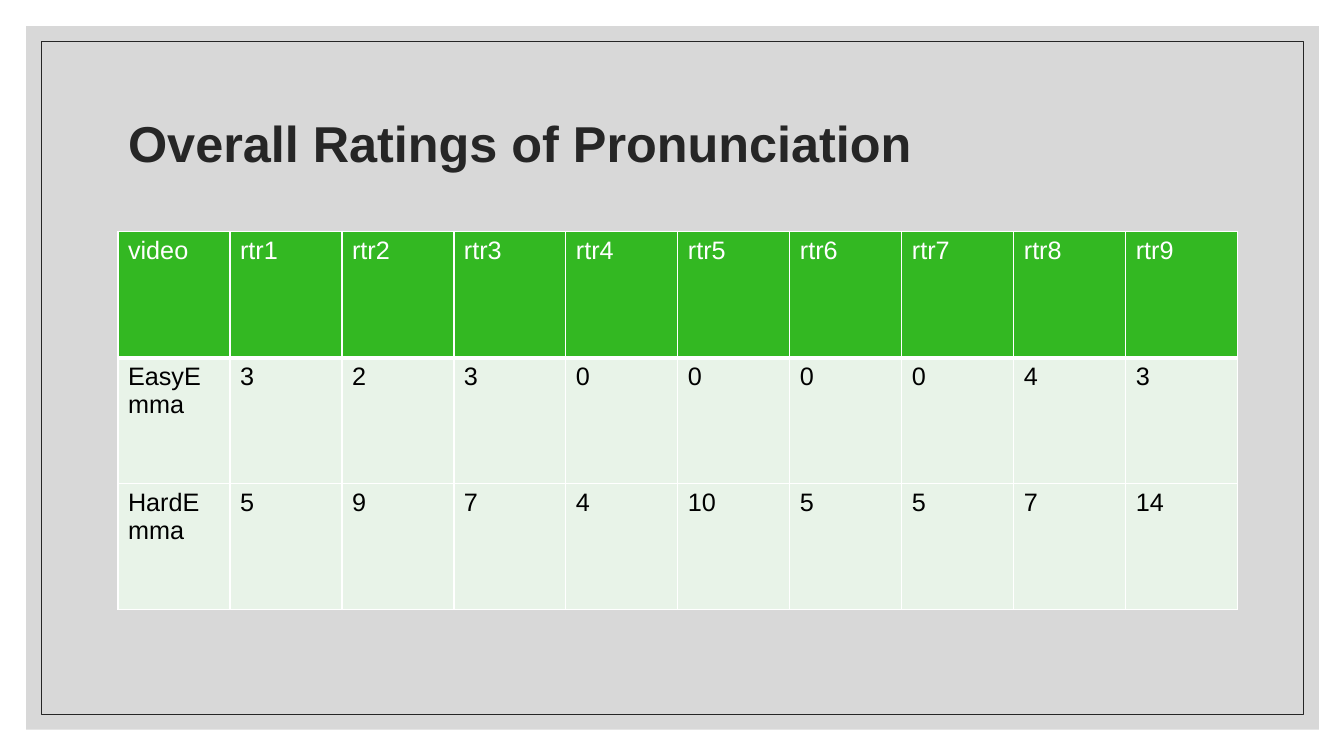
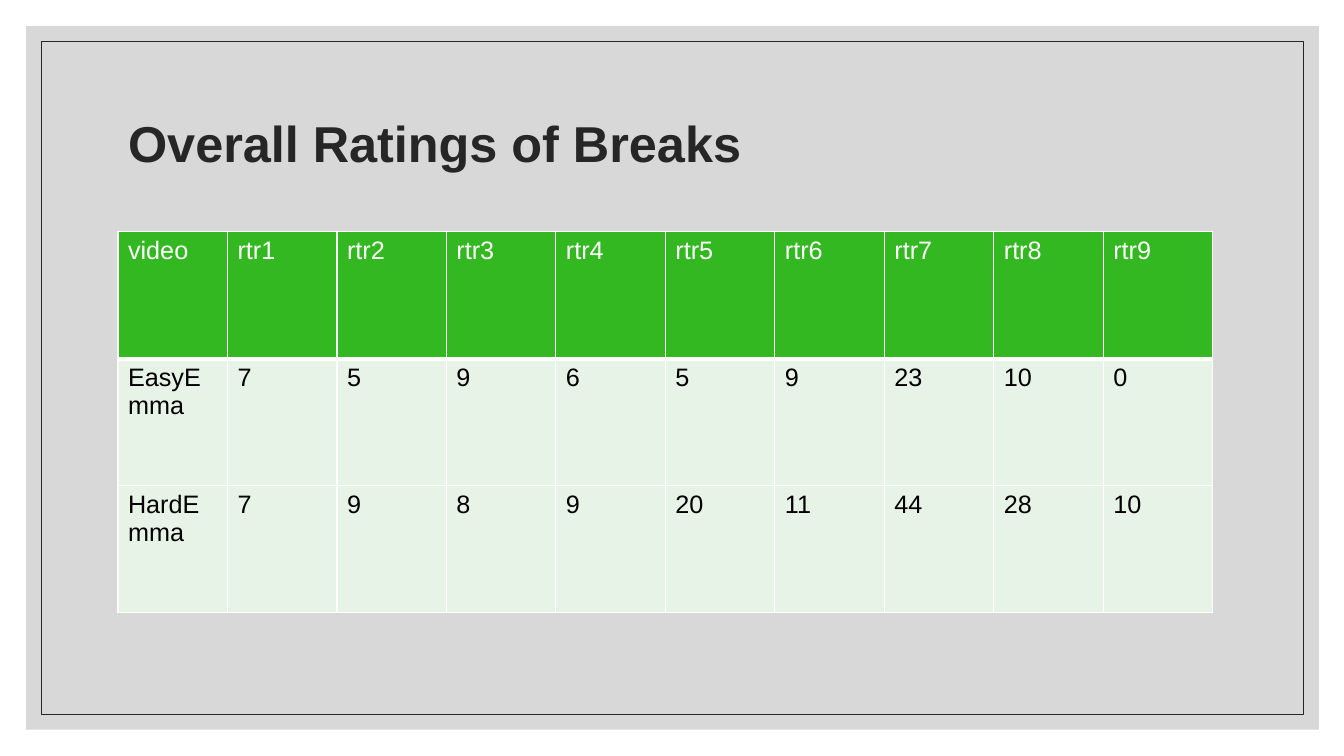
from lxml import etree
from pptx import Presentation
from pptx import util as u
from pptx.dml.color import RGBColor
from pptx.enum import shapes, text
from pptx.oxml.ns import qn

COLORS = {
    "panel": "BFBFBF",
    "dark": "262626",
    "header": "33B822",
    "body": "E8F3E8",
    "white": "FFFFFF",
    "black": "000000",
}
FONT = "Arial"
LEFT = 1.17


def color(name):
    return RGBColor.from_string(COLORS[name])


def add_border(cell, side, points):
    line = etree.SubElement(cell._tc.get_or_add_tcPr(), qn("a:" + side), w=str(u.Pt(points)))
    fill = etree.SubElement(line, qn("a:solidFill"))
    etree.SubElement(fill, qn("a:srgbClr"), val=COLORS["white"])


presentation = Presentation()
presentation.slide_width = u.Inches(13.33)
presentation.slide_height = u.Inches(7.5)
layout = presentation.slide_layouts[5]

# Title, column width, row height and ratings of each slide
header = ["video"] + [f"rtr{number}" for number in range(1, 10)]
ratings = [
    ("Overall Ratings of Pronunciation", 1.111, 1.25,
     [["EasyEmma", 3, 2, 3, 0, 0, 0, 0, 4, 3],
      ["HardEmma", 5, 9, 7, 4, 10, 5, 5, 7, 14]]),
    ("Overall Ratings of Breaks", 1.086, 1.26,
     [["EasyEmma", 7, 5, 9, 6, 5, 9, 23, 10, 0],
      ["HardEmma", 7, 9, 8, 9, 20, 11, 44, 28, 10]]),
]
slides = [presentation.slides.add_slide(layout) for _ in ratings]

# Shared panel and frame: drawn once, then moved to the layout
panel, frame = [
    slides[0].shapes.add_shape(
        shapes.MSO_SHAPE.RECTANGLE, u.Inches(margin), u.Inches(margin),
        u.Inches(13.34 - 2 * margin), u.Inches(7.5 - 2 * margin))
    for margin in (0.26, 0.41)
]
panel.fill.solid()
panel.fill.fore_color.rgb = color("panel")
panel_color = panel.element.find(".//" + qn("a:srgbClr"))
etree.SubElement(panel_color, qn("a:alpha"), val="60000")
panel.line.fill.background()
frame.fill.background()
frame.line.color.rgb = color("dark")
frame.line.width = u.Pt(0.5)
for position, shape in enumerate((panel, frame)):
    shape.shadow.inherit = False
    shape.element.find(".//" + qn("p:cNvPr")).set("id", str(20 + position))
    layout.shapes.element.insert(2 + position, shape.element)

for slide, (heading, column_width, row_height, rows) in zip(slides, ratings):
    # Title
    title = slide.shapes.title
    title.left, title.top = u.Inches(LEFT), u.Inches(0.7)
    title.width, title.height = u.Inches(11), u.Inches(1.5)
    title.text_frame.text = heading
    title.text_frame.vertical_anchor = text.MSO_ANCHOR.MIDDLE
    paragraph = title.text_frame.paragraphs[0]
    paragraph.alignment = text.PP_ALIGN.LEFT
    paragraph.line_spacing = 0.9
    paragraph.font.name = FONT
    paragraph.font.size = u.Pt(36)
    paragraph.font.bold = True
    paragraph.font.color.rgb = color("dark")

    # Ratings table
    cells = [header] + rows
    table = slide.shapes.add_table(
        len(cells), len(header), u.Inches(LEFT), u.Inches(2.3),
        u.Inches(column_width * len(header)), u.Inches(row_height * len(cells))).table
    table.horz_banding = False
    for row_index, values in enumerate(cells):
        is_header = row_index == 0
        for column_index, value in enumerate(values):
            cell = table.cell(row_index, column_index)
            cell.text = str(value)
            if is_header:
                for side, points in (("lnL", 1), ("lnR", 1), ("lnT", 1), ("lnB", 3)):
                    add_border(cell, side, points)
            cell.fill.solid()
            cell.fill.fore_color.rgb = color("header" if is_header else "body")
            font = cell.text_frame.paragraphs[0].font
            font.name = FONT
            font.size = u.Pt(18)
            font.bold = False
            font.color.rgb = color("white" if is_header else "black")

presentation.save("out.pptx")
